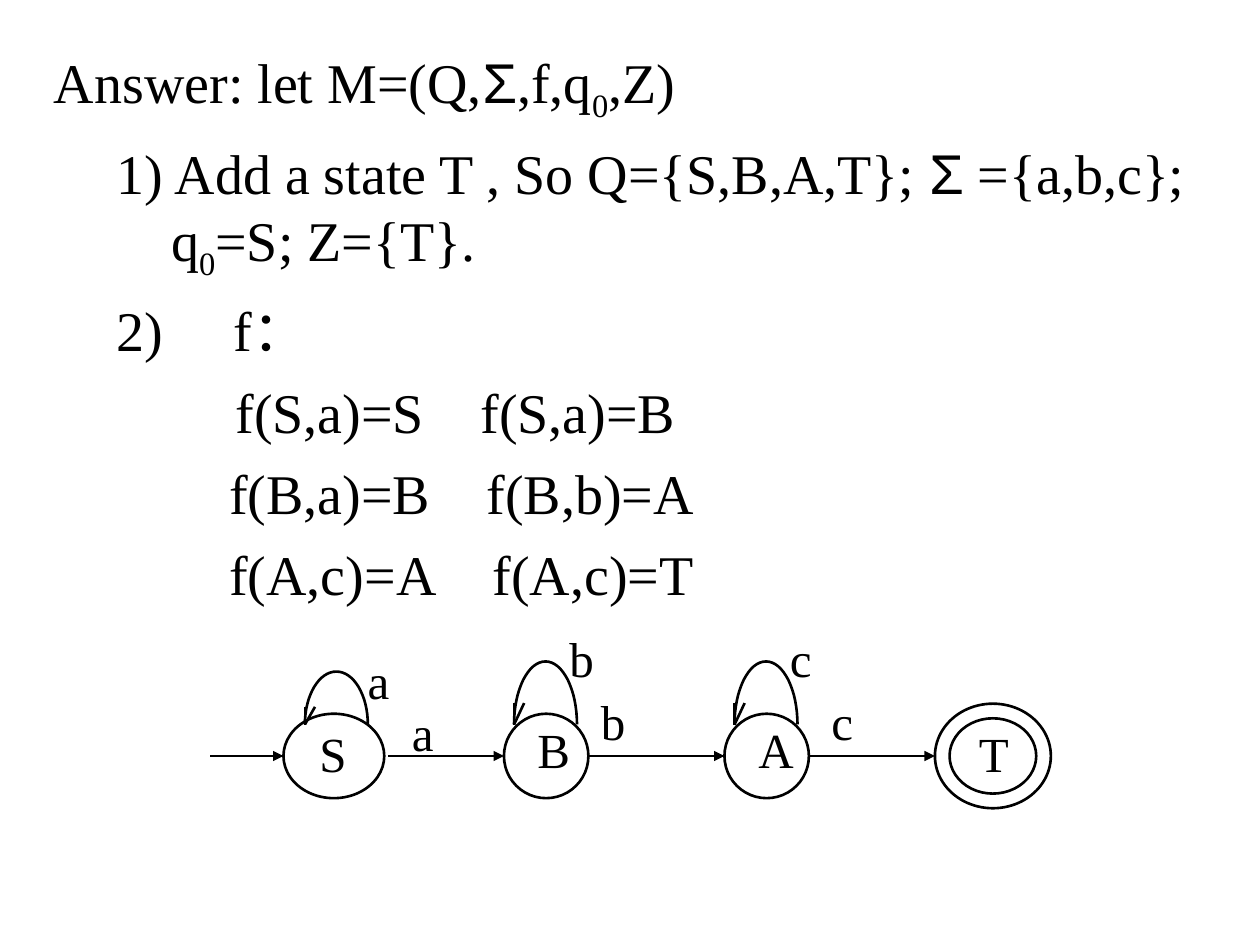
import math

from lxml import etree
from pptx import Presentation
from pptx.dml.color import RGBColor
from pptx.enum.shapes import MSO_CONNECTOR, MSO_SHAPE
from pptx.enum.text import MSO_AUTO_SIZE
from pptx.oxml.ns import qn
from pptx.util import Inches, Pt

BLACK = RGBColor(0x00, 0x00, 0x00)
SERIF = "Times New Roman"
SANS = "Arial"
STRAIGHT = MSO_CONNECTOR.STRAIGHT
OVAL = MSO_SHAPE.OVAL
DONUT = MSO_SHAPE.DONUT
NO_RESIZE = MSO_AUTO_SIZE.NONE
GROW = MSO_AUTO_SIZE.SHAPE_TO_FIT_TEXT


def add_run(paragraph, text, size, font=SERIF, subscript=False, tracking=0):
    run = paragraph.add_run()
    run.text = text
    run.font.size = Pt(size)
    run.font.name = font
    run.font.color.rgb = BLACK
    if subscript:
        run.font._element.set("baseline", "-25000")
    if tracking:
        run.font._element.set("spc", str(tracking * 100))


def add_stroke(shapes, start, end, arrow=False):
    stroke = shapes.add_connector(STRAIGHT, *map(Inches, start + end))
    stroke.line.color.rgb = BLACK
    stroke.line.width = Pt(1.5)
    if arrow:
        etree.SubElement(stroke.line._get_or_add_ln(), qn("a:tailEnd"), type="triangle")
    etree.SubElement(stroke._element.spPr, qn("a:effectLst"))


prs = Presentation()
prs.slide_width, prs.slide_height = Inches(10), Inches(7.5)
slide = prs.slides.add_slide(prs.slide_layouts[6])

answer = slide.shapes.add_textbox(Inches(0.33), Inches(0.33), Inches(9.25), Inches(6.83))
answer_frame = answer.text_frame
answer_frame.word_wrap = True
answer_frame.auto_size = NO_RESIZE

PAIR_GAP = (" ", SERIF, False, 24)
ITEM_GAP = (" ", SERIF, False, 32)
answer_lines = [
    (0.38, -0.38, [("Answer: let M=(Q,",), ("Σ", SANS), (",f,q",), ("0", SERIF, True), (",Z)",)]),
    (0.93, -0.43, [("1) Add a state T , So Q={S,B,A,T}; ",), ("Σ", SANS),
                   (" ={a,b,c}; q",), ("0", SERIF, True), ("=S; Z={T}.",)]),
    (0, 0.5, [("2)",), ITEM_GAP, ("f：",)]),
    (0, 1.44, [("f(S,a)=S",), PAIR_GAP, ("f(S,a)=B",)]),
    (0, 1.39, [("f(B,a)=B",), PAIR_GAP, ("f(B,b)=A",)]),
    (0, 1.39, [("f(A,c)=A",), PAIR_GAP, ("f(A,c)=T",)]),
]
for index, (margin, indent, runs) in enumerate(answer_lines):
    paragraph = answer_frame.add_paragraph() if index else answer_frame.paragraphs[0]
    paragraph.space_before = Pt(8)
    properties = paragraph._p.get_or_add_pPr()
    properties.set("marL", str(Inches(margin)))
    properties.set("indent", str(Inches(indent)))
    for text, *style in runs:
        add_run(paragraph, text, 32, *style)

diagram = slide.shapes.add_group_shape().shapes
AXIS = 6

states = [
    (OVAL, 2.25, 0.8, 0.67),
    (OVAL, 4, 0.67, 0.67),
    (OVAL, 5.75, 0.67, 0.67),
    (DONUT, 7.42, 0.92, 0.83),
]
for outline, left, width, height in states:
    state = diagram.add_shape(outline, Inches(left), Inches(AXIS - height / 2),
                              Inches(width), Inches(height))
    if outline == DONUT:
        state.adjustments[0] = 0.14
    state.shadow.inherit = False
    state.fill.background()
    state.line.color.rgb = BLACK
    state.line.width = Pt(1.5)

for start, end in [(1.67, 2.25), (3.08, 4), (4.67, 5.75), (6.42, 7.42)]:
    add_stroke(diagram, (start, AXIS), (end, AXIS), arrow=True)

LOOP_BASE = 5.75
LOOP_RADIUS = 0.25
LOOP_STEPS = 32
for left, height, barb in [(2.42, 0.42, 0.14), (4.08, 0.5, 0.17), (5.83, 0.5, 0.17)]:
    angles = [math.pi * step / LOOP_STEPS for step in range(LOOP_STEPS + 1)]
    points = [(Inches(left + LOOP_RADIUS * (1 + math.cos(angle))),
               Inches(LOOP_BASE - height * math.sin(angle))) for angle in angles]
    builder = diagram.build_freeform(*points[0])
    builder.add_line_segments(points[1:], close=False)
    loop = builder.convert_to_shape()
    loop.shadow.inherit = False
    loop.fill.background()
    loop.line.color.rgb = BLACK
    loop.line.width = Pt(1.5)
    for offset in (0, 0.08):
        add_stroke(diagram, (left, LOOP_BASE), (left + offset, LOOP_BASE - barb))

labels = [
    (" S", 2.34, 5.69, 0.51),
    (" B", 4.07, 5.66, 0.58),
    ("A", 5.92, 5.66, 0.48),
    ("T", 7.67, 5.69, 0.44),
    ("a", 3.17, 5.53, 0.37),
    ("b", 4.67, 5.44, 0.39),
    ("c", 6.5, 5.44, 0.47),
    ("a", 2.82, 5.11, 0.37),
    ("b", 4.42, 4.94, 0.39),
    ("c", 6.17, 4.94, 0.37),
]
for text, left, top, width in labels:
    label = diagram.add_textbox(Inches(left), Inches(top), Inches(width), Inches(0.57))
    label.text_frame.word_wrap = False
    label.text_frame.auto_size = GROW
    add_run(label.text_frame.paragraphs[0], text, 28)

prs.save("out.pptx")
